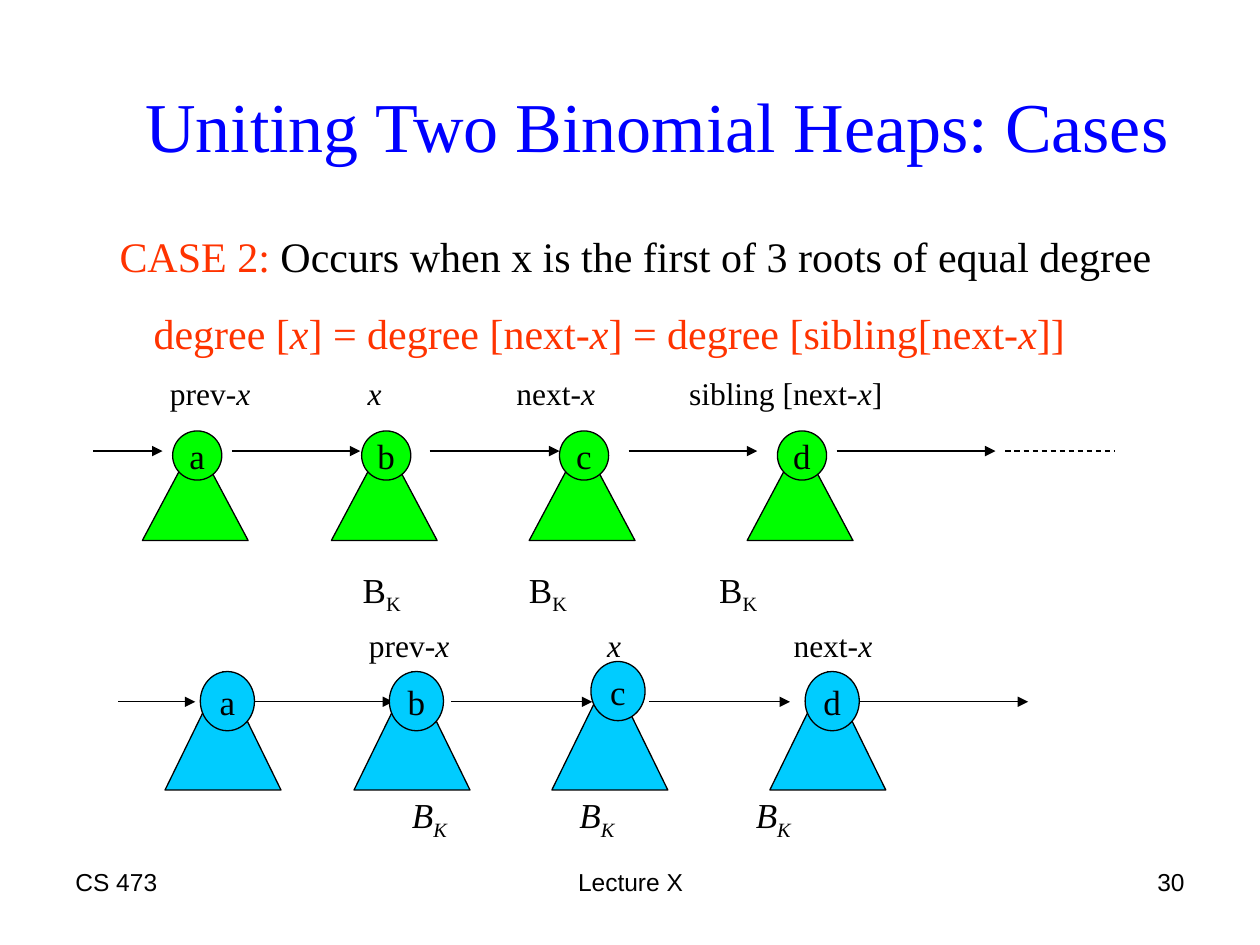
"""Build the slide on uniting two binomial heaps, case 2."""
from lxml import etree
from pptx import Presentation
from pptx.dml.color import RGBColor
from pptx.enum.dml import MSO_LINE
from pptx.enum.shapes import MSO_CONNECTOR, MSO_SHAPE
from pptx.enum.text import MSO_ANCHOR, PP_ALIGN
from pptx.oxml.ns import qn
from pptx.util import Inches, Pt

LEFT, MID, RIGHT = PP_ALIGN.LEFT, PP_ALIGN.CENTER, PP_ALIGN.RIGHT
TOP, CENTER = MSO_ANCHOR.TOP, MSO_ANCHOR.MIDDLE
CONE, OVAL = MSO_SHAPE.ISOSCELES_TRIANGLE, MSO_SHAPE.OVAL
STRAIGHT, DASH = MSO_CONNECTOR.STRAIGHT, MSO_LINE.DASH
THEME = {
    "serif": "Times New Roman", "sans": "Arial",
    "ink": "000000", "title": "0000FF", "case": "FF3300",
    "green": "00FF00", "blue": "00CCFF", "rule": 0.74,
    "head": 40, "body": 24, "node": 20, "label": 18, "foot": 14,
}

deck = Presentation()
deck.slide_width, deck.slide_height = Inches(10), Inches(7.5)
slide = deck.slides.add_slide(deck.slide_layouts[6])
shapes = slide.shapes


def write(para, runs, size, font="serif", color="ink"):
    """Add runs of (text, style), where style holds i, sub or a colour name."""
    for text, style in runs:
        run = para.add_run()
        run.text = text
        run.font.name, run.font.size = THEME[font], Pt(THEME[size])
        run.font.italic = "i" in style.split()
        tone = style if style in THEME else color
        run.font.color.rgb = RGBColor.from_string(THEME[tone])
        if "sub" in style.split():
            run.font._element.set("baseline", "-25000")


def box(at, runs, size, align=LEFT, anchor=TOP, font="serif", color="ink", tabs=()):
    """Add a text box with one paragraph and optional tab stops."""
    frame = shapes.add_textbox(*map(Inches, at)).text_frame
    frame.word_wrap, frame.vertical_anchor = True, anchor
    para = frame.paragraphs[0]
    para.alignment = align
    write(para, runs, size, font, color)
    if tabs:
        stops = etree.SubElement(para._p.get_or_add_pPr(), qn("a:tabLst"))
        for pos in tabs:
            etree.SubElement(stops, qn("a:tab"), pos=str(Inches(pos)), algn="l")
    return frame


for left, width, text, align in [
    (0.5, 2.33, "CS 473", LEFT),
    (3.42, 3.17, "Lecture X", MID),
    (7.17, 2.33, "30", RIGHT),
]:
    box((left, 6.83, width, 0.52), [(text, "")], "foot", align, font="sans")

box((0.43, 0.36, 9.57, 1.25), [("Uniting Two Binomial Heaps: Cases", "")],
    "head", MID, CENTER, color="title")

case = box((0.85, 1.64, 8.59, 1.25), [
    ("CASE 2:", "case"),
    (" Occurs when x is the first of 3 roots of equal degree", ""),
], "body")
case.margin_top = Inches(0.19)
rule = case.add_paragraph()
rule.space_before = Pt(15.3)
rule.alignment = LEFT
props = rule._p.get_or_add_pPr()
props.set("marL", str(Inches(0.27)))
props.set("indent", "0")
write(rule, [
    ("degree [", ""), ("x", "i"), ("] = degree [next-", ""), ("x", "i"),
    ("] = degree [sibling[next-", ""), ("x", "i"), ("]]", ""),
], "body", color="case")

box((1.25, 2.92, 7.28, 0.4), [
    ("prev-", ""), ("x\tx", "i"), ("\tnext-", ""), ("x", "i"),
    ("\tsibling [next-", ""), ("x", "i"), ("]", ""),
], "label", tabs=(1.57, 2.75, 4.12))
box((2.58, 4.92, 6.14, 0.4), [
    ("\tprev-", ""), ("x\tx", "i"), ("\tnext-", ""), ("x", "i"),
], "label", tabs=(0.25, 2.14, 3.62))

for at, tilt, tabs in [
    ((2.78, 4.46, 4.96, 0.48), "", (1.32, 2.83)),
    ((3.17, 6.25, 4.88, 0.48), "i", (1.33, 2.73)),
]:
    runs = []
    for lead in ("", "\t", "\t"):
        runs += [(lead + "B", tilt), ("K", tilt + " sub")]
    box(at, runs, "node", tabs=tabs)

GREEN = [(0.74, 1.29), (1.84, 2.86), (3.41, 4.44), (4.99, 6.01), (6.64, 7.9), (7.98, 8.85)]
BLUE = [(0.94, 1.55), (2, 3.12), (3.58, 4.7), (5.15, 6.27), (6.78, 8.16)]
for y, spans in ((3.58, GREEN), (5.57, BLUE)):
    for start, end in spans:
        link = shapes.add_connector(STRAIGHT, Inches(start), Inches(y), Inches(end), Inches(y))
        link.line.width = Pt(THEME["rule"])
        link.line.color.rgb = RGBColor.from_string(THEME["ink"])
        if start == 7.98:
            link.line.dash_style = DASH
        else:
            etree.SubElement(link.line._get_or_add_ln(), qn("a:tailEnd"), type="triangle")
        etree.SubElement(link._element.spPr, qn("a:effectLst"))

for tone, shift, top, cone, root, inset, rise, lift in [
    ("green", 0, 3.5, (0.84, 0.79), (0.39, 0.39), 0.24, 0.08, (0, 0)),
    ("blue", 0.18, 5.33, (0.92, 0.94), (0.43, 0.47), 0.28, 0, (0.03, 0.08)),
]:
    for name, x in zip("abcd", (1.13, 2.63, 4.2, 5.93)):
        left = x + shift
        dx, dy = lift if name == "c" else (0, 0)
        spot = (left + inset + dx, top - rise - dy)
        for kind, at in ((CONE, (left, top, *cone)), (OVAL, (*spot, *root))):
            part = shapes.add_shape(kind, *map(Inches, at))
            part.shadow.inherit = False
            part.fill.solid()
            part.fill.fore_color.rgb = RGBColor.from_string(THEME[tone])
            part.line.color.rgb = RGBColor.from_string(THEME["ink"])
            part.line.width = Pt(THEME["rule"])
        frame = part.text_frame
        frame.word_wrap, frame.vertical_anchor = False, CENTER
        frame.paragraphs[0].alignment = MID
        write(frame.paragraphs[0], [(name, "")], "node")

deck.save("out.pptx")
